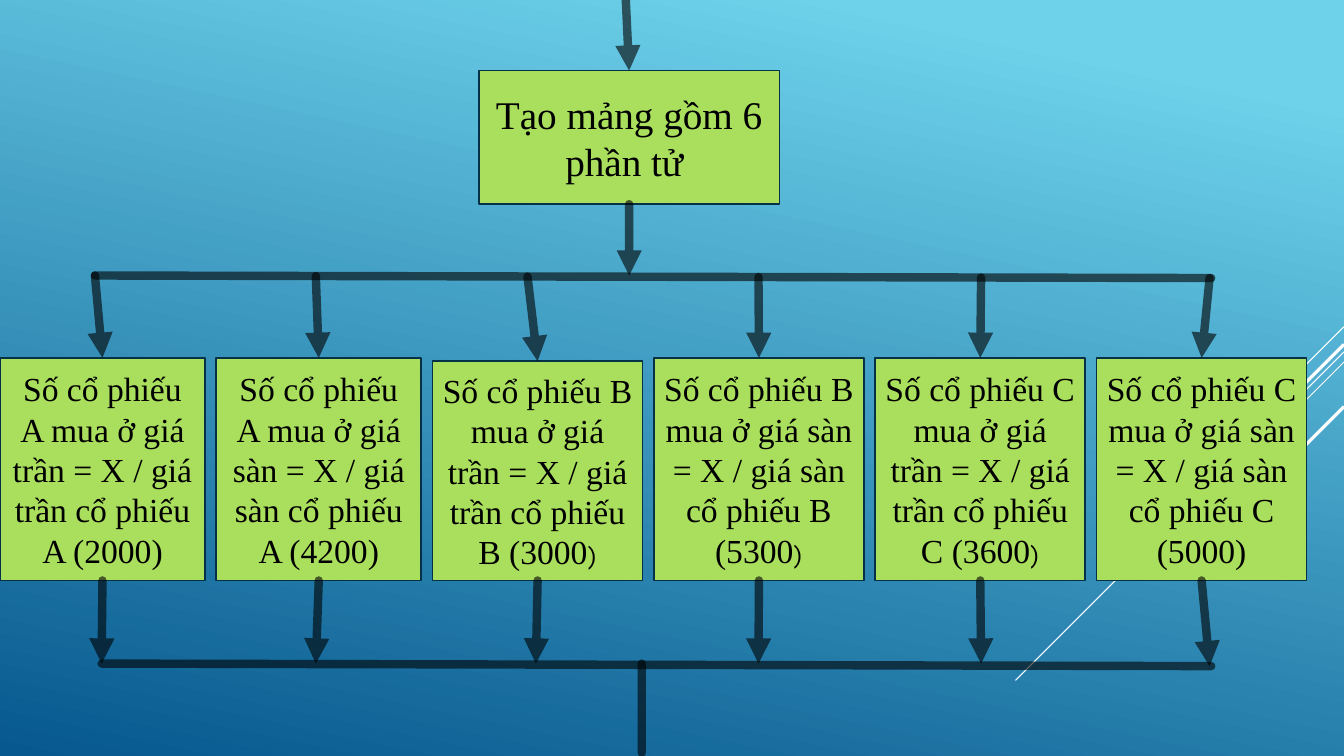
from lxml.etree import SubElement
from pptx import Presentation
from pptx.dml.color import RGBColor
from pptx.enum.shapes import MSO_CONNECTOR, MSO_SHAPE
from pptx.enum.text import MSO_ANCHOR, PP_ALIGN
from pptx.oxml.ns import qn
from pptx.util import Inches, Pt

COLORS = {
    "sky": "6ED2EB",
    "deep": "06588E",
    "box": "AADF5E",
    "edge": "043148",
    "ink": "000000",
    "streak": "FFFFFF",
}
SERIF, SANS = "Times New Roman", "TeX Gyre Adventor"
COLS, ROWS = 160, 90
TOP, BOTTOM = 0, 2


class FlowSlide:
    def __init__(self, prs):
        self.col = prs.slide_width / COLS
        self.row = prs.slide_height / ROWS
        self.s = prs.slides.add_slide(prs.slide_layouts[6])

    def color(self, name):
        return RGBColor.from_string(COLORS[name])

    def place(self, x, y):
        return round(x * self.col), round(y * self.row)

    def background(self, angle, stops):
        fill = self.s.background.fill
        fill.gradient()
        fill.gradient_angle = angle
        for stop, (position, name) in zip(fill.gradient_stops, stops):
            stop.position = position
            stop.color.rgb = self.color(name)

    def box(self, x, y, w, h, runs):
        sp = self.s.shapes.add_shape(MSO_SHAPE.RECTANGLE, *self.place(x, y), *self.place(w, h))
        sp.shadow.inherit = False
        sp.fill.solid()
        sp.fill.fore_color.rgb = self.color("box")
        sp.line.color.rgb = self.color("edge")
        sp.line.width = Pt(1.25)
        tf = sp.text_frame
        tf.word_wrap = True
        tf.vertical_anchor = MSO_ANCHOR.MIDDLE
        p = tf.paragraphs[0]
        p.alignment = PP_ALIGN.CENTER
        for text, size, font in runs:
            r = p.add_run()
            r.text = text
            r.font.size = Pt(size)
            r.font.name = font
            r.font.color.rgb = self.color("ink")
        return sp

    def line(self, start, end, name, width):
        c = self.s.shapes.add_connector(
            MSO_CONNECTOR.STRAIGHT, *self.place(*start), *self.place(*end))
        c.line.color.rgb = self.color(name)
        c.line.width = Pt(width)
        SubElement(c._element.spPr, qn("a:effectLst"))
        return c

    def flow(self, start, end, arrow=True, source=None, target=None):
        c = self.line(start, end, "ink", 6)
        ln = c.line._get_or_add_ln()
        ln.set("cap", "rnd")
        SubElement(ln.find(".//" + qn("a:srgbClr")), qn("a:alpha"), val="60000")
        if arrow:
            SubElement(ln, qn("a:tailEnd"), type="triangle")
        if source is not None:
            c.begin_connect(source, BOTTOM)
        if target is not None:
            c.end_connect(target, TOP)


def main():
    prs = Presentation()
    prs.slide_width, prs.slide_height = Inches(13.33), Inches(7.5)
    slide = FlowSlide(prs)
    slide.background(258, [(0.1, "sky"), (1, "deep")])

    streaks = [(38.9, 12, 0.75), (41.9, 39.1, 0.75), (43.1, 24.9, 0.75),
               (41, 22.9, 2.25), (48.4, 16.7, 2.25)]
    for y, run, width in streaks:
        slide.line((COLS, y), (COLS - run, y + run), "streak", width)

    array = slide.box(57, 8.4, 35.8, 15.9, [("Tạo mảng gồm 6 phần tử ", 28, SERIF)])
    slide.flow((74.5, 0), (74.9, 8.4), target=array)

    stocks = [
        ("A", "trần", 2000, 24.4, 42.6, 24, 11.3, 12.1),
        ("A", "sàn", 4200, 24.4, 42.6, 24, 37.6, 37.6),
        ("B", "trần", 3000, 25, 43, 18, 62.8, 63.8),
        ("B", "sàn", 5300, 25, 42.6, 18, 90.3, 90.3),
        ("C", "trần", 3600, 25, 42.6, 18, 116.8, 116.8),
        ("C", "sàn", 5000, 25, 42.6, 24, 144, 144),
    ]
    gap, floor, split, merge, slope = 1.35, 69.1, 32.8, 79, 0.3
    left, right = 11.3, 144.2
    x, boxes = 0, []
    for stock, price, value, w, top, size, _, _ in stocks:
        text = f"Số cổ phiếu {stock} mua ở giá {price} = X / giá {price} cổ phiếu {stock} ({value}"
        runs = [(text, 24, SERIF), (")", size, SERIF if size == 24 else SANS)]
        boxes.append(slide.box(x, top, w, floor - top, runs))
        x += w + gap

    slide.flow((left, split), (right, split + slope), arrow=False)
    slide.flow((74.9, 24.3), (74.9, split), source=array)
    slide.flow((12.1, merge), (right, merge + slope), arrow=False)
    for box, (*_, enter, leave) in zip(boxes, stocks):
        drop = slope * (enter - left) / (right - left)
        slide.flow((enter, split + drop), (enter, 42.6), target=box)
        slide.flow((leave, floor), (leave, merge + (slope if leave == 144 else 0)), source=box)
    slide.flow((76.4, merge), (76.4, 89.6), arrow=False)

    prs.save("out.pptx")


if __name__ == "__main__":
    main()
